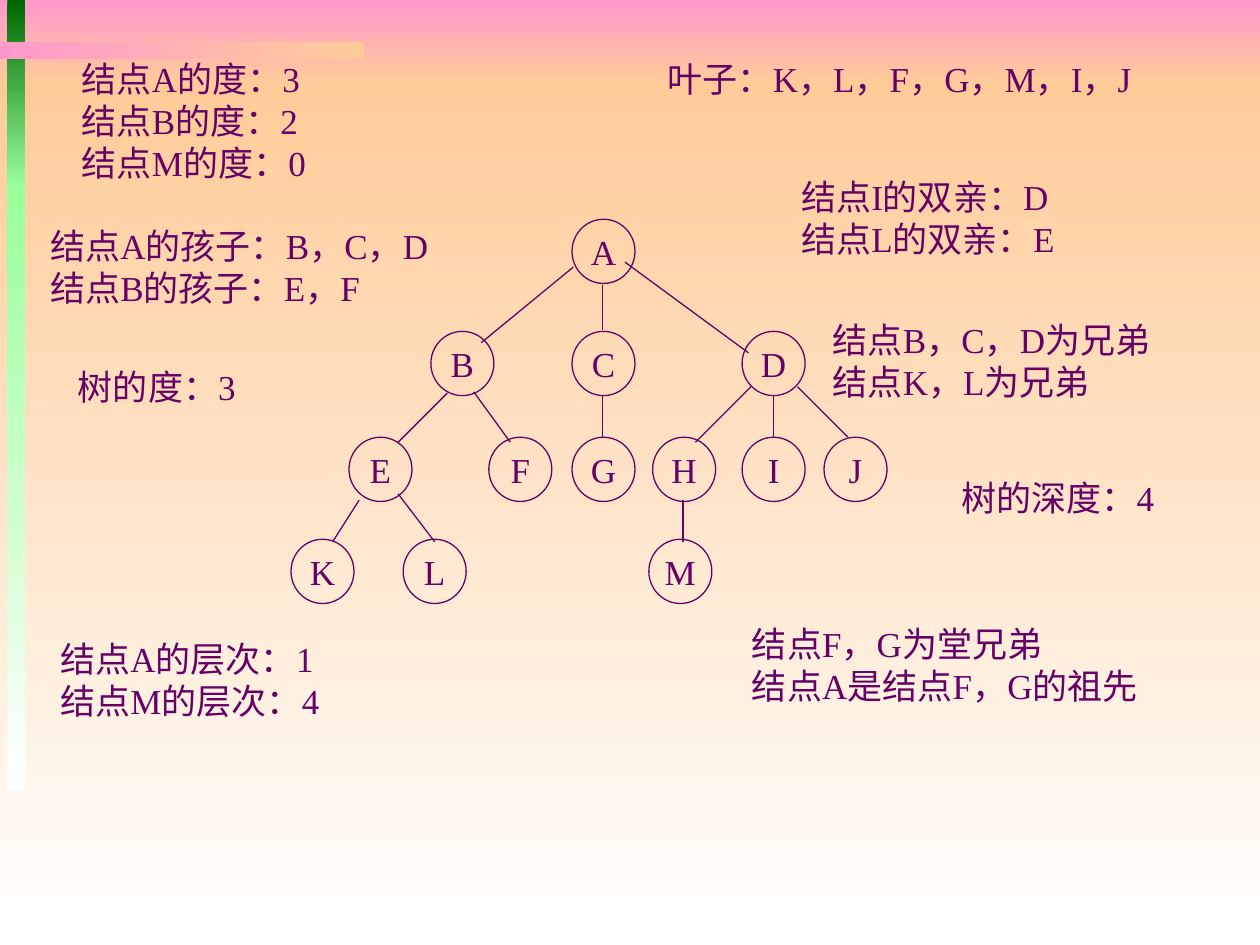
"""Build a slide that explains tree terms around a drawn tree."""
from dataclasses import dataclass

from lxml.etree import SubElement
from pptx import Presentation
from pptx.dml.color import RGBColor
from pptx.enum.lang import MSO_LANGUAGE_ID
from pptx.enum.shapes import MSO_CONNECTOR, MSO_SHAPE
from pptx.enum.text import MSO_ANCHOR, MSO_AUTO_SIZE, PP_ALIGN
from pptx.oxml.ns import qn
from pptx.util import Inches, Pt


@dataclass(frozen=True)
class Theme:
    ink: str = "660066"
    pink: str = "FF99CC"
    peach: str = "FFCC99"
    dark_green: str = "006600"
    light_green: str = "99FF99"
    white: str = "FFFFFF"
    font: str = "Times New Roman"
    size: int = 20
    line: float = 0.75


THEME = Theme()
DOWN, ACROSS = 270, 0
NODE_SIZE = (0.5, 0.51)

BANDS = [
    ((0, 0, 10, 0.67), THEME.pink, THEME.peach, DOWN),
    ((0, 0.67, 10, 6.83), THEME.peach, THEME.white, DOWN),
    ((0.06, 0, 0.14, 1.48), THEME.dark_green, THEME.light_green, DOWN),
    ((0.06, 1.46, 0.14, 4.81), THEME.light_green, THEME.white, DOWN),
    ((0, 0.33, 2.89, 0.14), THEME.pink, THEME.peach, ACROSS),
]

LEVELS = [
    (1.74, {"A": 4.54}),
    (2.63, {"B": 3.42, "C": 4.54, "D": 5.89}),
    (3.47, {"E": 2.77, "F": 3.88, "G": 4.54, "H": 5.18, "I": 5.89, "J": 6.54}),
    (4.28, {"K": 2.31, "L": 3.2, "M": 5.15}),
]

BRANCHES = {
    "AC": (4.78, 2.26, 4.78, 2.62),
    "CG": (4.78, 3.14, 4.78, 3.47),
    "DI": (6.14, 3.14, 6.14, 3.47),
    "DH": (5.96, 3.07, 5.52, 3.51),
    "DJ": (6.33, 3.07, 6.73, 3.47),
    "AD": (4.96, 2.08, 5.94, 2.8),
    "AB": (4.55, 2.12, 3.82, 2.72),
    "BF": (3.76, 3.11, 4.05, 3.51),
    "BE": (3.55, 3.12, 3.16, 3.51),
    "EK": (2.85, 3.97, 2.64, 4.3),
    "EL": (3.16, 3.92, 3.45, 4.3),
    "HM": (5.42, 3.97, 5.42, 4.3),
}

NOTES = [
    (0.55, 0.41, 2.18, ["结点A的度：3", "结点B的度：2", "结点M的度：0"]),
    (5.2, 0.41, 4.74, ["叶子：K，L，F，G，M，I，J"]),
    (0.3, 1.73, 3.66, ["结点A的孩子：B，C，D", "结点B的孩子：E，F"]),
    (6.26, 1.34, 2.41, ["结点I的双亲：D", "结点L的双亲：E"]),
    (6.51, 2.48, 3.12, ["结点B，C，D为兄弟", "结点K，L为兄弟"]),
    (0.52, 2.85, 1.52, ["树的度：3"]),
    (0.38, 5.01, 2.45, ["结点A的层次：1", "结点M的层次：4"]),
    (7.53, 3.73, 1.79, ["树的深度：4"]),
    (5.87, 4.89, 3.66, ["结点F，G为堂兄弟", "结点A是结点F，G的祖先"]),
]

FONT_FORMAT = {
    "name": THEME.font,
    "size": Pt(THEME.size),
    "language_id": MSO_LANGUAGE_ID.SIMPLIFIED_CHINESE,
}
NODE_FRAME = {"word_wrap": False, "vertical_anchor": MSO_ANCHOR.MIDDLE}
NOTE_FRAME = {"word_wrap": False, "auto_size": MSO_AUTO_SIZE.SHAPE_TO_FIT_TEXT}


def inches(values):
    return [Inches(value) for value in values]


def apply_format(target, values):
    for name, value in values.items():
        setattr(target, name, value)


def write_lines(frame, lines, frame_format, alignment):
    apply_format(frame, frame_format)
    for index, line in enumerate(lines):
        para = frame.add_paragraph() if index else frame.paragraphs[0]
        para.alignment = alignment
        span = para.add_run()
        span.text = line
        apply_format(span.font, FONT_FORMAT)
        span.font.color.rgb = RGBColor.from_string(THEME.ink)


def draw_outline(line):
    line.color.rgb = RGBColor.from_string(THEME.ink)
    line.width = Pt(THEME.line)


def add_band(page, place, start, end, angle):
    band = page.shapes.add_shape(MSO_SHAPE.RECTANGLE, *inches(place))
    band.shadow.inherit = False
    band.line.fill.background()
    band.fill.gradient()
    band.fill.gradient_angle = angle
    for stop, color in zip(band.fill.gradient_stops, (start, end)):
        stop.color.rgb = RGBColor.from_string(color)


def add_node(page, label, left, top):
    node = page.shapes.add_shape(MSO_SHAPE.OVAL, *inches((left, top, *NODE_SIZE)))
    node.shadow.inherit = False
    node.fill.background()
    draw_outline(node.line)
    write_lines(node.text_frame, [label], NODE_FRAME, PP_ALIGN.CENTER)


def add_branch(page, ends):
    branch = page.shapes.add_connector(MSO_CONNECTOR.STRAIGHT, *inches(ends))
    draw_outline(branch.line)
    SubElement(branch._element.spPr, qn("a:effectLst"))


def add_note(page, left, top, width, lines):
    height = 0.11 + 0.33 * len(lines)
    box = page.shapes.add_textbox(*inches((left, top, width, height)))
    write_lines(box.text_frame, lines, NOTE_FRAME, PP_ALIGN.LEFT)


def main():
    deck = Presentation()
    apply_format(deck, {"slide_width": Inches(10), "slide_height": Inches(7.5)})
    page = deck.slides.add_slide(deck.slide_layouts[6])
    for band in BANDS:
        add_band(page, *band)
    for top, nodes in LEVELS:
        for label, left in nodes.items():
            add_node(page, label, left, top)
    for ends in BRANCHES.values():
        add_branch(page, ends)
    for note in NOTES:
        add_note(page, *note)
    deck.save("out.pptx")


if __name__ == "__main__":
    main()
